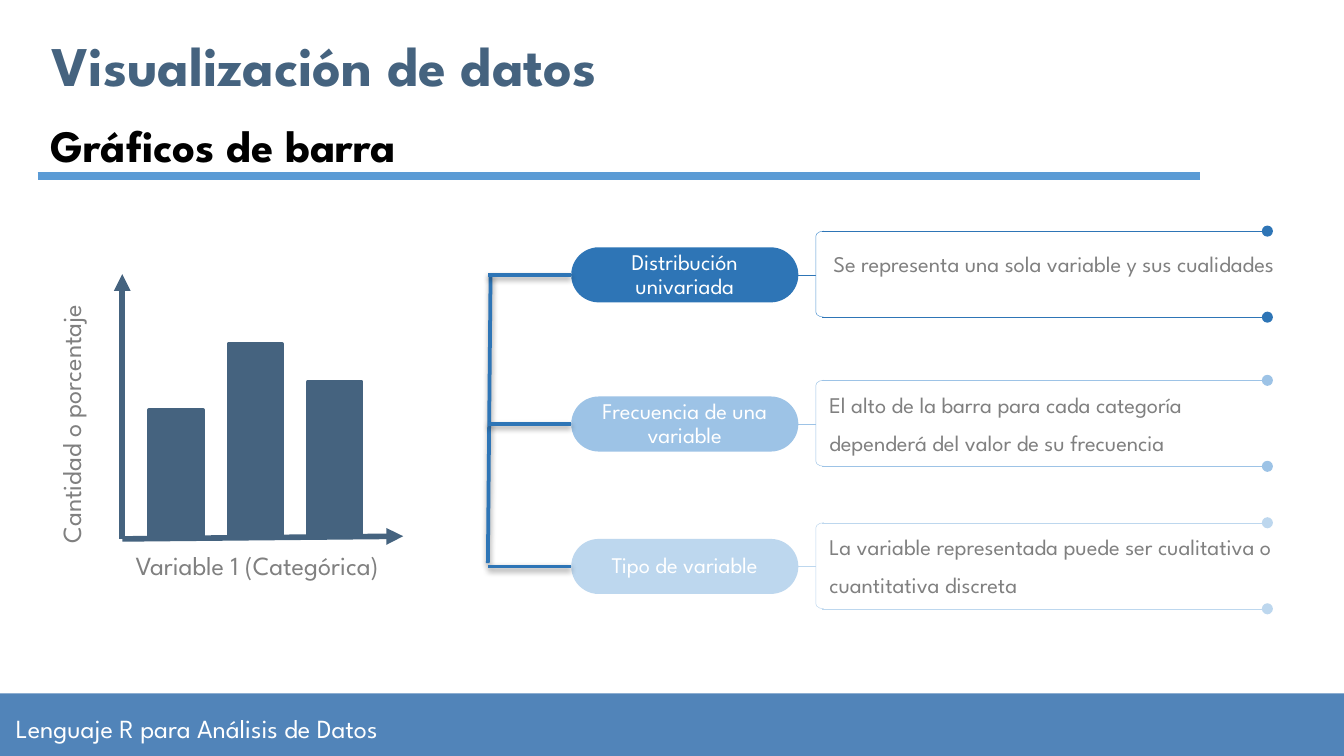
from lxml import etree
from pptx import Presentation
from pptx.dml.color import RGBColor
from pptx.enum.shapes import MSO_CONNECTOR, MSO_SHAPE
from pptx.enum.text import MSO_ANCHOR, PP_ALIGN
from pptx.oxml.ns import qn
from pptx.util import Inches, Pt

STRAIGHT = MSO_CONNECTOR.STRAIGHT
RECTANGLE = MSO_SHAPE.RECTANGLE
PILL = MSO_SHAPE.ROUNDED_RECTANGLE
BRACKET = MSO_SHAPE.LEFT_BRACKET
TOP, MIDDLE = MSO_ANCHOR.TOP, MSO_ANCHOR.MIDDLE
LEFT, CENTER = PP_ALIGN.LEFT, PP_ALIGN.CENTER
LEFT_SIDE, RIGHT_SIDE = 1, 3

FONT = "League Spartan"
WHITE = RGBColor(0xFF, 0xFF, 0xFF)
BLACK = RGBColor(0x00, 0x00, 0x00)
GRAY = RGBColor(0x80, 0x80, 0x80)
SLATE = RGBColor(0x45, 0x63, 0x7F)
FOOTER_BLUE = RGBColor(0x51, 0x84, 0xB9)
RULE_BLUE = RGBColor(0x5B, 0x9B, 0xD5)
DARK_BLUE = RGBColor(0x2E, 0x75, 0xB6)
BRACKET_BLUE = RGBColor(0x56, 0x98, 0xD3)
MEDIUM_BLUE = RGBColor(0x9D, 0xC3, 0xE6)
LIGHT_BLUE = RGBColor(0xBD, 0xD7, 0xEE)


def write_text(shape, text, size=12, color=GRAY, bold=False, align=LEFT,
               anchor=TOP, insets=(0.1, 0.05), wrap=True,
               line_spacing=None, space_before=None):
    frame = shape.text_frame
    frame.word_wrap = wrap
    frame.vertical_anchor = anchor
    frame.margin_left = frame.margin_right = Inches(insets[0])
    frame.margin_top = frame.margin_bottom = Inches(insets[1])
    paragraph = frame.paragraphs[0]
    paragraph.alignment = align
    if line_spacing:
        paragraph.line_spacing = line_spacing
    if space_before:
        paragraph.space_before = Pt(space_before)
    run = paragraph.add_run()
    run.text = text
    run.font.name = FONT
    run.font.size = Pt(size)
    run.font.bold = bold
    run.font.color.rgb = color


def add_text(slide, box, text, **text_format):
    shape = slide.shapes.add_textbox(*map(Inches, box))
    write_text(shape, text, **text_format)
    return shape


def add_box(slide, kind, box, fill=None, line=None, width=1):
    shape = slide.shapes.add_shape(kind, *map(Inches, box))
    shape.shadow.inherit = False
    if fill is None:
        shape.fill.background()
    else:
        shape.fill.solid()
        shape.fill.fore_color.rgb = fill
    if line is None:
        shape.line.fill.background()
    else:
        shape.line.color.rgb = line
        shape.line.width = Pt(width)
    return shape


def add_line(slide, start, end, color, width, end_mark=None, shadow=False):
    line = slide.shapes.add_connector(STRAIGHT, *map(Inches, start + end))
    line.line.color.rgb = color
    line.line.width = Pt(width)
    if end_mark:
        etree.SubElement(line.line._get_or_add_ln(), qn("a:tailEnd"), type=end_mark)
    effects = etree.SubElement(line._element.spPr, qn("a:effectLst"))
    if shadow:
        outer = etree.SubElement(effects, qn("a:outerShdw"), blurRad=str(Pt(3.1)),
                                 dist=str(Pt(1.6)), dir="5400000", rotWithShape="0")
        shadow_color = etree.SubElement(outer, qn("a:srgbClr"), val=str(BLACK))
        etree.SubElement(shadow_color, qn("a:alpha"), val="38000")
    return line


def add_footer(slide, left, top, width, height):
    add_box(slide, RECTANGLE, (left, top, width, height), FOOTER_BLUE)
    add_text(slide, (left + 0.02, top + 0.02, width / 2, height),
             "Lenguaje R para Análisis de Datos", size=14, color=WHITE,
             anchor=MIDDLE, insets=(0.1, 0.1))


def add_heading(slide, left, top, width):
    title = slide.shapes.title
    title.left, title.top = Inches(left), Inches(top)
    title.width, title.height = Inches(6.59), Inches(0.51)
    write_text(title, "Visualización de datos", size=30, color=SLATE, bold=True,
               anchor=MIDDLE, insets=(0.1, 0.1))
    add_text(slide, (left, top + 0.61, 3.63, 0.5), "Gráficos de barra",
             size=24, color=BLACK, bold=True)
    rule_top = top + 1.09
    add_line(slide, (left, rule_top), (left + width, rule_top), RULE_BLUE, 4.5)


def add_bar_sketch(slide, left, top, width, height):
    """Draw two arrow axes, three bars and the axis names around them."""
    base = top + height
    add_line(slide, (left, base), (left, top), SLATE, 3, "triangle")
    add_line(slide, (left, base), (left + width, base - 0.02), SLATE, 3, "triangle")
    for index, bar_height in enumerate((0.95, 1.44, 1.16)):
        add_box(slide, RECTANGLE,
                (left + 0.2 + index * 0.59, base - 0.01 - bar_height, 0.4, bar_height),
                SLATE, SLATE, 2)
    vertical_name = add_text(slide, (left - 1.49, top + 0.82, 2.22, 0.34),
                             "Cantidad o porcentaje", size=14, wrap=False)
    vertical_name.rotation = 270
    add_text(slide, (left, base + 0.03, 2.25, 0.34), "Variable 1 (Categórica)",
             size=14, wrap=False)


def add_branch(slide, left, top, label, detail, color, bracket_color, detail_shift):
    """Draw one branch: trunk line, pill, bracket with dotted ends and detail."""
    pill_left, pill_width, pill_height = left + 0.62, 1.69, 0.41
    middle = top + pill_height / 2
    bracket_left, bracket_top, bracket_height = left + 2.44, top - 0.12, 0.64
    pill = add_box(slide, PILL, (pill_left, top, pill_width, pill_height), color)
    pill.adjustments[0] = 0.5
    write_text(pill, label, color=WHITE, align=CENTER, anchor=MIDDLE,
               insets=(0.02, 0.02), line_spacing=0.9)

    branch = add_line(slide, (pill_left, middle), (left, middle), DARK_BLUE, 2,
                      shadow=True)
    branch.begin_connect(pill, LEFT_SIDE)
    link = add_line(slide, (pill_left + pill_width, middle), (bracket_left, middle),
                    color, 0.25)
    link.begin_connect(pill, RIGHT_SIDE)

    bracket = add_box(slide, BRACKET, (bracket_left, bracket_top, 0.06, bracket_height),
                      line=bracket_color, width=0.25)
    bracket.adjustments[0] = 0.65
    for edge in (bracket_top, bracket_top + bracket_height):
        add_line(slide, (bracket_left + 0.05, edge), (left + 5.8, edge),
                 color, 0.25, "oval")
    shift_x, shift_y = detail_shift
    add_text(slide, (bracket_left + shift_x, bracket_top + shift_y, 3.52, 0.64), detail,
             insets=(0.07, 0.04), line_spacing=1.4, space_before=7.5)


def add_concept_tree(slide, left, top):
    add_line(slide, (left + 0.02, top + 0.2), (left, top + 2.35), DARK_BLUE, 2,
             shadow=True)
    branches = (
        (0, "Distribución univariada",
         "Se representa una sola variable y sus cualidades",
         DARK_BLUE, BRACKET_BLUE, (0.06, 0.02)),
        (1.11, "Frecuencia de una variable",
         "El alto de la barra para cada categoría dependerá del valor de su frecuencia",
         MEDIUM_BLUE, MEDIUM_BLUE, (0.03, -0.04)),
        (2.17, "Tipo de variable",
         "La variable representada puede ser cualitativa o cuantitativa discreta",
         LIGHT_BLUE, LIGHT_BLUE, (0.03, -0.04)),
    )
    for offset, *branch in branches:
        add_branch(slide, left, top + offset, *branch)


def main():
    presentation = Presentation()
    presentation.slide_width = Inches(10)
    presentation.slide_height = presentation.slide_width * 9 // 16
    slide = presentation.slides.add_slide(presentation.slide_layouts[5])
    add_footer(slide, 0, 5.16, 10, 0.47)
    add_heading(slide, 0.28, 0.22, 8.65)
    add_bar_sketch(slide, 0.91, 2.04, 2.09, 1.97)
    add_concept_tree(slide, 3.63, 1.84)
    presentation.save("out.pptx")


if __name__ == "__main__":
    main()
